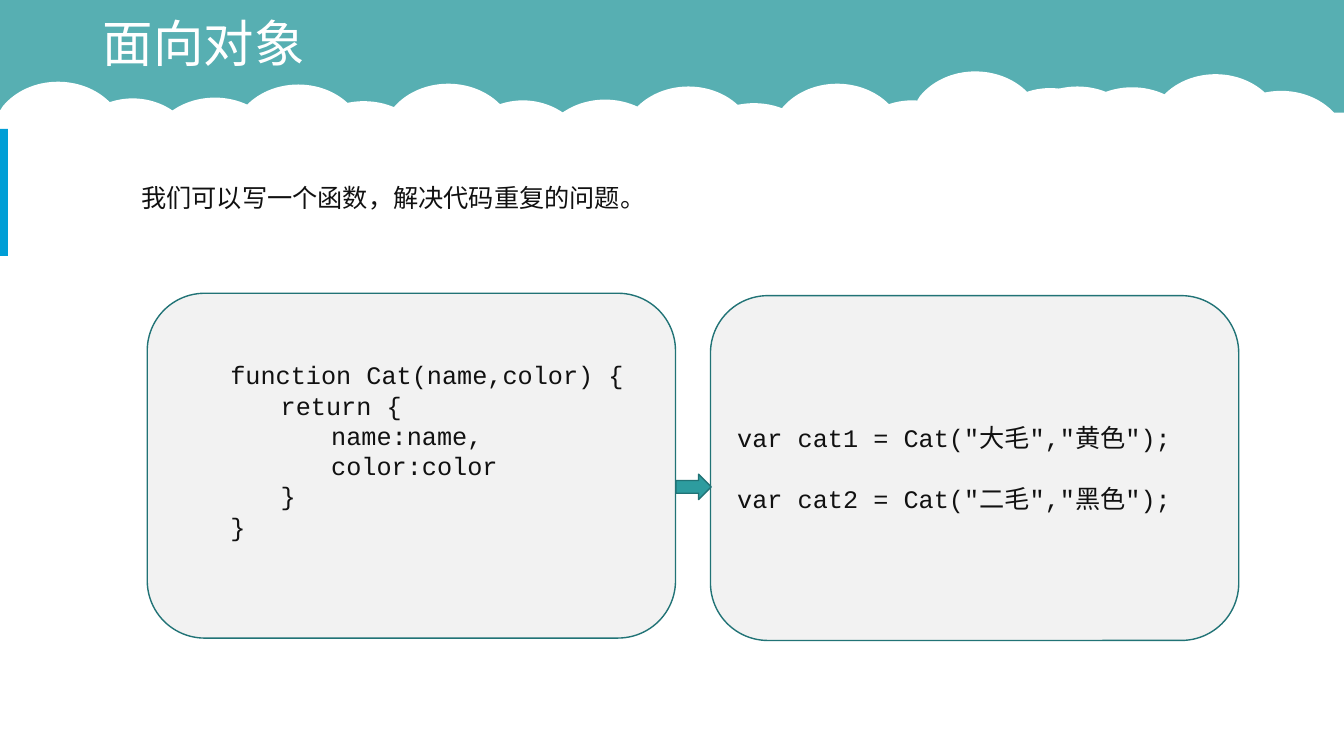
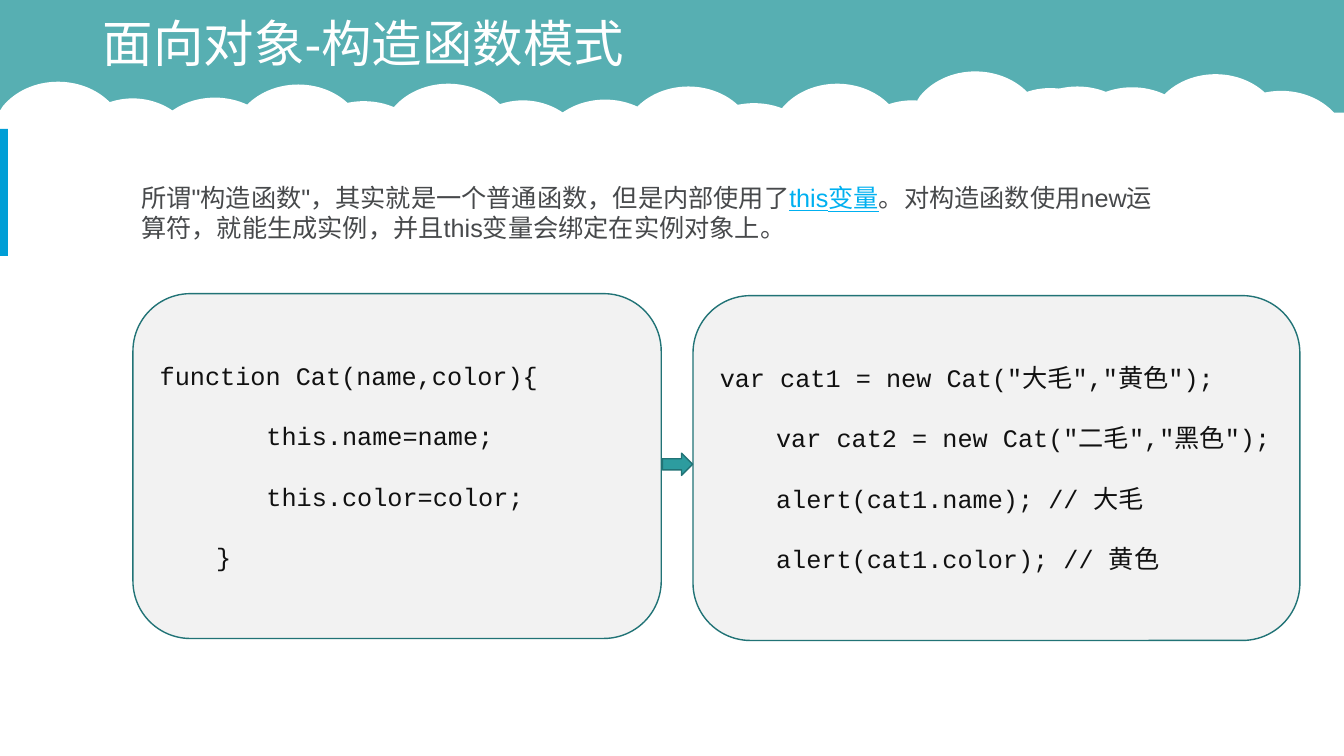
from lxml import etree
from pptx import Presentation
from pptx.dml.color import RGBColor
from pptx.enum.shapes import MSO_SHAPE
from pptx.enum.text import MSO_ANCHOR, MSO_AUTO_SIZE, PP_ALIGN
from pptx.oxml.ns import qn
from pptx.util import Cm, Pt

RECT, OVAL = MSO_SHAPE.RECTANGLE, MSO_SHAPE.OVAL
ROUND, ARROW = MSO_SHAPE.ROUNDED_RECTANGLE, MSO_SHAPE.RIGHT_ARROW
MID, LEFT = MSO_ANCHOR.MIDDLE, PP_ALIGN.LEFT
FIT, FIXED = MSO_AUTO_SIZE.SHAPE_TO_FIT_TEXT, MSO_AUTO_SIZE.NONE

WHITE = RGBColor(0xFF, 0xFF, 0xFF)
TEAL = RGBColor(0x2D, 0x9C, 0x9F)
DARK = RGBColor(0x21, 0x73, 0x76)
BLUE = RGBColor(0x00, 0x9E, 0xD6)
SKY = RGBColor(0x00, 0xB0, 0xF0)
PALE = RGBColor(0xF2, 0xF2, 0xF2)
INK = RGBColor(0x11, 0x11, 0x11)
GREY = RGBColor(0x47, 0x49, 0x4B)

# Content: code lines are (indent level, text)
SLIDES = [
    {
        "title": "面向对象",
        "font": "Noto Serif",
        "high": 1.02,
        "intro": [("我们可以写一个函数，解决代码重复的问题。", INK)],
        "boxes": [
            {"at": (3.71, 7.39, 13.31, 8.69), "gap": 0, "tail": 1, "code": [
                (1, "function Cat(name,color) {"),
                (2, "return {"),
                (3, "name:name,"),
                (3, "color:color"),
                (2, "}"),
                (1, "}")]},
            {"at": (17.9, 7.45, 13.31, 8.69), "gap": 1, "tail": 0, "code": [
                (0, 'var cat1 = Cat("大毛","黄色");'),
                (0, 'var cat2 = Cat("二毛","黑色");')]},
        ],
        "arrow": (17.03, 11.95, 0.89, 0.64),
    },
    {
        "title": "面向对象-构造函数模式",
        "font": "Arial",
        "high": 1.8,
        "intro": [
            ('所谓"构造函数"，其实就是一个普通函数，但是内部使用了', GREY),
            ("this变量", SKY),
            ("。对构造函数使用new运算符，就能生成实例，"
             "并且this变量会绑定在实例对象上。", GREY)],
        "boxes": [
            {"at": (3.35, 7.4, 13.31, 8.69), "gap": 1, "tail": 0, "code": [
                (0, "function Cat(name,color){"),
                (2, "this.name=name;"),
                (2, "this.color=color;"),
                (1, "}")]},
            {"at": (17.46, 7.45, 15.29, 8.69), "gap": 1, "tail": 0, "code": [
                (0, 'var cat1 = new Cat("大毛","黄色");'),
                (1, 'var cat2 = new Cat("二毛","黑色");'),
                (1, "alert(cat1.name); // 大毛"),
                (1, "alert(cat1.color); // 黄色")]},
        ],
        "arrow": (16.69, 11.42, 0.76, 0.56),
    },
]

# Cloud rows: where each starts, and the round puffs within one
WIDE, HIGH = 33.86, 19.05
ROWS = [(0, 2.06), (9.83, 2.11), (19.63, 2.11), (23.11, 1.8)]
PUFFS = [(1.67, 0.42, 3.35, 3.07), (3.74, 0.4, 3.35, 2.82),
         (5.84, 0.07, 3.35, 2.82)]

# The puffs at a row's ends are cut straight on their outer side.
# Each: offset, start point, then lines (x, y) and curves (six numbers)
FIRST = ((0, 0), (1.46, 0), [
    (2.39, 0, 3.15, 0.63, 3.15, 1.41),
    (3.15, 2.19, 2.39, 2.82, 1.46, 2.82),
    (0.88, 2.82, 0.37, 2.57, 0.07, 2.2),
    (0, 2.09),
    (0, 0.73),
    (0.07, 0.62),
    (0.37, 0.25, 0.88, 0, 1.46, 0)])
LAST = ((7.49, 0.49), (1.68, 0), [
    (2.37, 0, 2.97, 0.35, 3.22, 0.86),
    (3.26, 0.95),
    (3.26, 1.87),
    (3.22, 1.96),
    (2.97, 2.47, 2.37, 2.82, 1.68, 2.82),
    (0.75, 2.82, 0, 2.19, 0, 1.41),
    (0, 0.63, 0.75, 0, 1.68, 0)])
LINE = Pt(21.6)


def paint(shape, fill, line=None):
    shape.shadow.inherit = False
    shape.fill.solid()
    shape.fill.fore_color.rgb = fill
    if line is None:
        shape.line.fill.background()
    else:
        shape.line.color.rgb = line
        shape.line.width = Pt(1)
    return shape


def block(slide, kind, at, fill, line=None):
    shape = slide.shapes.add_shape(kind, *[Cm(v) for v in at])
    return paint(shape, fill, line)


def write(para, text, font, size, color):
    run = para.add_run()
    run.text = text
    run.font.name = font
    run.font.size = Pt(size)
    run.font.color.rgb = color
    return run


def cut_puff(slide, x, y, puff):
    """A freeform of lines, some of which are then bent into curves."""
    (dx, dy), start, legs = puff
    pen = slide.shapes.build_freeform(Cm(start[0]), Cm(start[1]))
    pen.add_line_segments([(Cm(leg[-2]), Cm(leg[-1])) for leg in legs],
                          close=True)
    shape = paint(pen.convert_to_shape(Cm(x + dx), Cm(y + dy)), WHITE)
    steps = list(shape._element.iter(qn("a:lnTo")))
    for step, leg in zip(steps, legs):
        if len(leg) == 6:
            step.tag = qn("a:cubicBezTo")
            for i in (0, 1):
                dot = etree.Element(qn("a:pt"), x=str(Cm(leg[2 * i])),
                                    y=str(Cm(leg[2 * i + 1])))
                step.insert(i, dot)


def add_band(slide, layout):
    """Draw the cloud band, then hand it to the layout all slides share."""
    old = len(slide.shapes)
    sky = block(slide, RECT, (0, -0.08, WIDE, 9.42), TEAL)
    tone = sky.fill._xPr.find(qn("a:solidFill"))[0]
    etree.SubElement(tone, qn("a:alpha"), val="80000")
    for x, y in ROWS:
        cut_puff(slide, x, y, FIRST)
        for dx, dy, wide, high in PUFFS:
            block(slide, OVAL, (x + dx, y + dy, wide, high), WHITE)
        cut_puff(slide, x, y, LAST)
    block(slide, RECT, (0, 2.84, WIDE, 11.43), WHITE)
    for i, shape in enumerate(list(slide.shapes)[old:]):
        layout.shapes._spTree.insert(2 + i, shape._element)


def add_title(slide, text):
    title = slide.shapes.title
    title.left, title.top = Cm(2.34), Cm(0.15)
    title.width, title.height = Cm(29.21), Cm(2.01)
    frame = title.text_frame
    frame.auto_size = FIXED
    frame.vertical_anchor = MID
    para = frame.paragraphs[0]
    para.alignment = LEFT
    para.line_spacing = 0.9
    write(para, text, "Arial", 36, WHITE)


def add_intro(slide, item):
    box = slide.shapes.add_textbox(Cm(3.31), Cm(4.47), Cm(26.39),
                                   Cm(item["high"]))
    frame = box.text_frame
    frame.word_wrap = True
    frame.auto_size = FIT
    for text, color in item["intro"]:
        run = write(frame.paragraphs[0], text, item["font"], 18, color)
        if color == SKY:
            run.font.underline = True


def add_code(slide, box):
    shape = block(slide, ROUND, box["at"], PALE, DARK)
    frame = shape.text_frame
    frame.word_wrap = True
    frame.vertical_anchor = MID
    frame.margin_bottom = Cm(0.13) + box["tail"] * LINE
    for i, (level, text) in enumerate(box["code"]):
        para = frame.paragraphs[0] if i == 0 else frame.add_paragraph()
        para.alignment = LEFT
        para.line_spacing = LINE
        if i:
            para.space_before = Pt(box["gap"] * LINE.pt)
        if level:
            indent = Cm(0.15 + 1.27 * level)
            para._p.get_or_add_pPr().set("indent", str(indent))
        write(para, text, "Courier New", 18, INK)


# Build
deck = Presentation()
deck.slide_width, deck.slide_height = Cm(WIDE), Cm(HIGH)
layout = deck.slide_layouts[5]
for n, item in enumerate(SLIDES):
    slide = deck.slides.add_slide(layout)
    if n == 0:
        add_band(slide, layout)
    add_title(slide, item["title"])
    block(slide, RECT, (-0.08, 3.25, 0.28, 3.2), BLUE)
    add_intro(slide, item)
    for box in item["boxes"]:
        add_code(slide, box)
    block(slide, ARROW, item["arrow"], TEAL, DARK)
deck.save("out.pptx")
